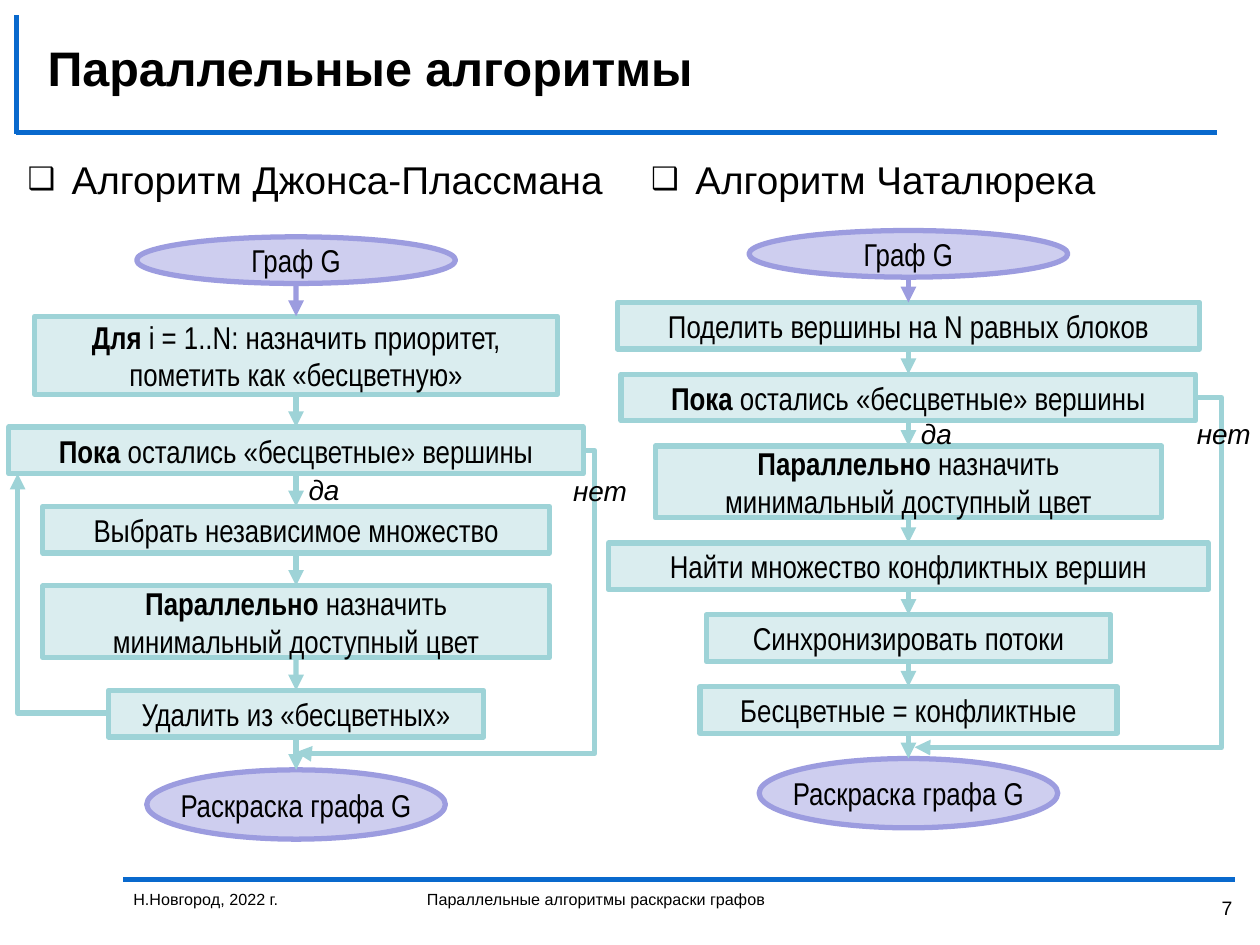
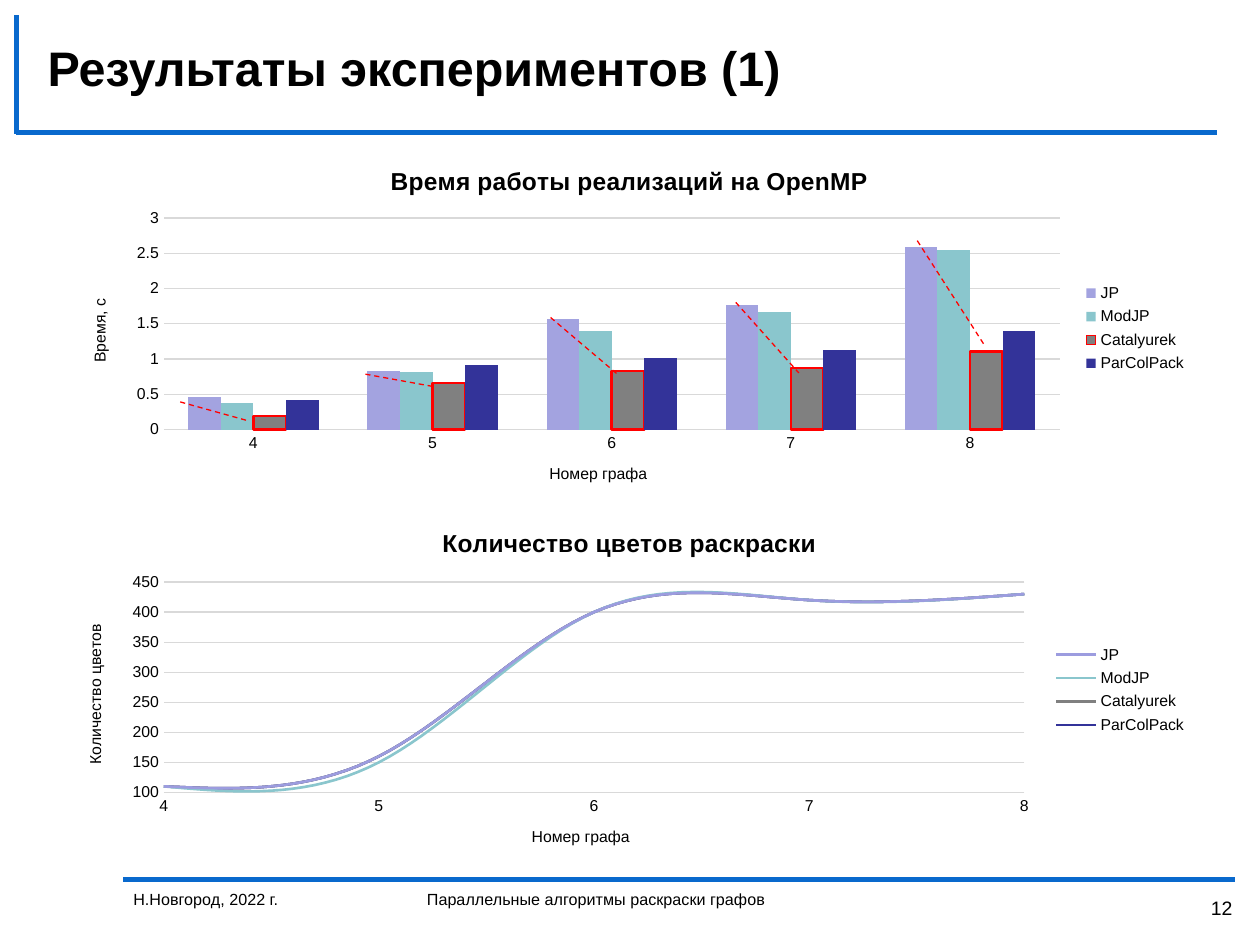
from typing import NamedTuple

from lxml import etree
from pptx import Presentation
from pptx.chart.data import CategoryChartData, XyChartData
from pptx.dml.color import RGBColor
from pptx.enum import chart as ch, dml, shapes, text
from pptx.oxml.ns import qn
from pptx.util import Inches, Pt

BLACK, BAND, GRID, RED = "000000", "0969CD", "D9D9D9", "FF0000"
MINT, LILAC = ("DAEDEF", "9ED3D7"), ("CECEEF", "9C9CDF")  # fill, line
LEFT, RIGHT, CENTER = text.PP_ALIGN.LEFT, text.PP_ALIGN.RIGHT, text.PP_ALIGN.CENTER
MIDDLE = text.MSO_ANCHOR.MIDDLE
CHART_W, CHART_H = 9.05, 2.87


class Step(NamedTuple):
    text: str  # parts between asterisks are bold
    width: float
    height: float = 0.37
    oval: bool = False


class Flow(NamedTuple):
    center: float
    top: float
    gap: float
    steps: list[Step]
    loop: int  # index of the "while" step
    exit_end: tuple[float, float]
    exit_bends: tuple[int, int]
    yes_top: float
    no_at: tuple[float, float]


class Plot(NamedTuple):
    title: str
    value_title: str
    top: float
    area: tuple[float, float, float, float]  # left, top, width, height in inches
    scale: tuple[float, float, float]  # minimum, maximum, major unit


START = Step("Граф G", 2.53, oval=True)
WHILE = Step("*Пока* остались «бесцветные» вершины", 4.56)
ASSIGN = Step("*Параллельно* назначить\nминимальный доступный цвет", 4.02, 0.57)
FINISH = Step("Раскраска графа G", 2.37, 0.55, True)

JONES = Flow(2.35, 1.88, 0.26, [
    START,
    Step("*Для* i = 1..N: назначить приоритет,\nпометить как «бесцветную»", 4.15, 0.62),
    WHILE,
    Step("Выбрать независимое множество", 4.02),
    ASSIGN,
    Step("Удалить из «бесцветных»", 2.98),
    FINISH,
], 2, (2.35, 5.97), (-3900, 100500), 3.7, (4.45, 3.71))

CATALYUREK = Flow(7.21, 1.83, 0.2, [
    START,
    Step("Поделить вершины на N равных блоков", 4.62),
    WHILE,
    ASSIGN,
    Step("Найти множество конфликтных вершин", 4.76),
    Step("Синхронизировать потоки", 3.21),
    Step("Бесцветные = конфликтные", 3.31),
    FINISH,
], 2, (7.26, 5.93), (-9200, 100100), 3.26, (9.4, 3.26))

GRAPHS = [4, 5, 6, 7, 8]
SERIES_COLORS = {"JP": "A3A3E0", "ModJP": "8AC6CD",
                 "Catalyurek": "808080", "ParColPack": "333399"}
TIMES = {
    "JP": [0.46, 0.83, 1.57, 1.76, 2.59],
    "ModJP": [0.37, 0.81, 1.39, 1.67, 2.55],
    "Catalyurek": [0.19, 0.66, 0.83, 0.87, 1.11],
    "ParColPack": [0.42, 0.91, 1.01, 1.12, 1.4],
}
COLOR_COUNTS = {
    "JP": [110, 160, 400, 420, 430],
    "ModJP": [110, 150, 400, 420, 430],
    "Catalyurek": [110, 160, 400, 420, 430],
    "ParColPack": [110, 160, 400, 420, 430],
}
SPEEDUP_LINES = [
    (1.43, 3.19, 1.97, 3.34), (2.9, 2.97, 3.45, 3.07), (4.37, 2.52, 4.9, 2.97),
    (5.84, 2.4, 6.34, 2.96), (7.28, 1.91, 7.82, 2.75),
]


def rgb(color: str) -> RGBColor:
    return RGBColor.from_string(color)


def style_font(font, size: float, name="Arial", color=BLACK, bold=False, italic=False):
    font.size, font.name, font.bold, font.italic = Pt(size), name, bold, italic
    font.color.rgb = rgb(color)


def write(tf, content: str, *, size: float, name="Arial", bold=False, italic=False,
          align=LEFT, anchor=text.MSO_ANCHOR.TOP, wrap=True, bullet=""):
    """Fill a frame: one paragraph a line, asterisks around bold parts."""
    tf.word_wrap, tf.vertical_anchor = wrap, anchor
    for i, line in enumerate(content.split("\n")):
        p = tf.add_paragraph() if i else tf.paragraphs[0]
        p.alignment = align
        for j, part in enumerate(line.split("*")):
            if part:
                r = p.add_run()
                r.text = part
                style_font(r.font, size, name, bold=bold or j % 2 == 1, italic=italic)
        if bullet:
            pPr = p._p.get_or_add_pPr()
            pPr.set("marL", str(Inches(0.35)))
            pPr.set("indent", str(-Inches(0.35)))
            etree.SubElement(pPr, qn("a:buSzPct")).set("val", "80000")
            etree.SubElement(pPr, qn("a:buFont")).set("typeface", name)
            etree.SubElement(pPr, qn("a:buChar")).set("char", bullet)


def add_text(s, content: str, x: float, y: float, w: float, h: float, **fmt):
    sp = s.shapes.add_textbox(Inches(x), Inches(y), Inches(w), Inches(h))
    write(sp.text_frame, content, **fmt)


def add_line(s, x1: float, y1: float, x2: float, y2: float, color: str, width=3.0,
             arrow=False, dashed=False, bent=False):
    kind = shapes.MSO_CONNECTOR.ELBOW if bent else shapes.MSO_CONNECTOR.STRAIGHT
    cxn = s.shapes.add_connector(kind, Inches(x1), Inches(y1), Inches(x2), Inches(y2))
    cxn.line.color.rgb, cxn.line.width = rgb(color), Pt(width)
    if dashed:
        cxn.line.dash_style = dml.MSO_LINE.DASH
    if arrow:
        etree.SubElement(cxn.line._get_or_add_ln(), qn("a:tailEnd")).set("type", "triangle")
    etree.SubElement(cxn._element.spPr, qn("a:effectLst"))
    return cxn


def bend(cxn, preset: str, adjustments: tuple[int, ...] = ()):
    """Choose the elbow preset and place its bends."""
    geom = cxn._element.spPr.find(qn("a:prstGeom"))
    geom.set("prst", preset)
    for old in list(geom):
        geom.remove(old)
    guides = etree.SubElement(geom, qn("a:avLst"))
    for i, value in enumerate(adjustments, 1):
        guide = etree.SubElement(guides, qn("a:gd"))
        guide.set("name", f"adj{i}")
        guide.set("fmla", f"val {value}")


def add_slide(prs, title: str, number: int):
    """Blank slide with the shared title, bands and footer."""
    s = prs.slides.add_slide(prs.slide_layouts[6])
    for ends in ((0.98, 6.98, 9.8, 6.98), (0.13, 1.05, 9.66, 1.05), (0.13, 0.12, 0.13, 1.06)):
        add_line(s, *ends, BAND)
    add_text(s, title, 0.28, 0.23, 9.17, 0.61, size=27.7, bold=True, anchor=MIDDLE)
    add_text(s, "Н.Новгород, 2022 г.", 0.96, 7.01, 2.24, 0.49, size=9.2)
    add_text(s, "Параллельные алгоритмы раскраски графов", 3.29, 7.01, 6.3, 0.49, size=9.2)
    add_text(s, str(number), 9.37, 7.06, 0.51, 0.29, size=11.1, align=RIGHT)
    return s


def add_step(s, step: Step, center: float, top: float):
    kind = shapes.MSO_SHAPE.OVAL if step.oval else shapes.MSO_SHAPE.RECTANGLE
    sp = s.shapes.add_shape(kind, Inches(center - step.width / 2), Inches(top),
                            Inches(step.width), Inches(step.height))
    fill, line = LILAC if step.oval else MINT
    sp.shadow.inherit = False
    sp.fill.solid()
    sp.fill.fore_color.rgb = rgb(fill)
    sp.line.color.rgb, sp.line.width = rgb(line), Pt(3)
    write(sp.text_frame, step.text, size=18, name="Arial Narrow", align=CENTER,
          anchor=MIDDLE, wrap=False)
    return sp


def add_flow(s, flow: Flow):
    # Steps, one under another
    boxes, tops, top = [], [], flow.top
    for step in flow.steps:
        boxes.append(add_step(s, step, flow.center, top))
        tops.append(top)
        top += step.height + flow.gap

    # Arrows between neighbours
    for i, (upper, lower) in enumerate(zip(flow.steps, flow.steps[1:])):
        cxn = add_line(s, flow.center, tops[i] + upper.height, flow.center, tops[i + 1],
                       (LILAC if upper.oval else MINT)[1], arrow=True)
        if not upper.oval:
            cxn.begin_connect(boxes[i], 2)
        if not lower.oval:
            cxn.end_connect(boxes[i + 1], 0)

    # Way out of the loop
    loop = flow.steps[flow.loop]
    way_out = add_line(s, flow.center + loop.width / 2, tops[flow.loop] + loop.height / 2,
                       *flow.exit_end, MINT[1], arrow=True, bent=True)
    bend(way_out, "bentConnector4", flow.exit_bends)
    add_text(s, "да", flow.center, flow.yes_top, 0.45, 0.37, size=16, italic=True, wrap=False)
    add_text(s, "нет", *flow.no_at, 0.72, 0.37, size=16, italic=True)


def set_title(owner, content: str, size: float, bold=False):
    tf = owner.text_frame
    tf.text = content
    style_font(tf.paragraphs[0].runs[0].font, size, bold=bold)


def add_plot(s, kind, data, plot: Plot):
    chart = s.shapes.add_chart(kind, Inches(0.47), Inches(plot.top), Inches(CHART_W),
                               Inches(CHART_H), data).chart
    style_font(chart.font, 9)
    chart.has_title = True
    set_title(chart.chart_title, plot.title, 14, bold=True)
    chart.has_legend = True
    chart.legend.position = ch.XL_LEGEND_POSITION.RIGHT
    chart.legend.include_in_layout = False
    style_font(chart.legend.font, 9)
    chart.plots[0].vary_by_categories = False

    # Axes
    x_axis, y_axis = chart.category_axis, chart.value_axis
    for axis, title in ((x_axis, "Номер графа"), (y_axis, plot.value_title)):
        axis.has_title = True
        set_title(axis.axis_title, title, 9)
        axis.major_tick_mark = axis.minor_tick_mark = ch.XL_TICK_MARK.NONE
        style_font(axis.tick_labels.font, 9)
    x_axis.has_major_gridlines, y_axis.has_major_gridlines = False, True
    for line in (x_axis.format.line, y_axis.major_gridlines.format.line):
        line.color.rgb, line.width = rgb(GRID), Pt(0.75)
    y_axis.format.line.fill.background()
    y_axis.minimum_scale, y_axis.maximum_scale, y_axis.major_unit = plot.scale

    # Fixed plot area, as fractions of the chart
    area = chart._chartSpace.chart.plotArea
    layout = area.find(qn("c:layout"))
    if layout is None:
        layout = etree.Element(qn("c:layout"))
        area.insert(0, layout)
    manual = etree.SubElement(layout, qn("c:manualLayout"))
    settings = [("layoutTarget", "inner"), ("xMode", "edge"), ("yMode", "edge")]
    for tag, length, whole in zip("xywh", plot.area, (CHART_W, CHART_H) * 2):
        settings.append((tag, length / whole))
    for tag, value in settings:
        etree.SubElement(manual, qn(f"c:{tag}")).set("val", str(value))
    return chart


def build_algorithms(prs):
    s = add_slide(prs, "Параллельные алгоритмы", 7)
    for x, heading in ((0.12, "Алгоритм Джонса-Плассмана"), (5.07, "Алгоритм Чаталюрека")):
        add_text(s, heading, x, 1.19, 4.85, 0.57, size=22.1, bullet="❑")
    for flow in (JONES, CATALYUREK):
        add_flow(s, flow)
    back = add_line(s, 0.86, 5.66, 0.14, 3.76, MINT[1], arrow=True, bent=True)
    bend(back, "bentConnector2")


def build_results(prs):
    s = add_slide(prs, "Результаты экспериментов (1)", 12)

    # Running time
    data = CategoryChartData()
    data.categories = [str(g) for g in GRAPHS]
    for name, values in TIMES.items():
        data.add_series(name, values)
    chart = add_plot(s, ch.XL_CHART_TYPE.COLUMN_CLUSTERED, data, Plot(
        "Время работы реализаций на OpenMP", "Время, с", 1.17,
        (0.83, 0.56, 7.11, 1.68), (0, 3, 0.5)))
    chart.plots[0].gap_width, chart.plots[0].overlap = 150, 0
    for ser in chart.plots[0].series:
        ser.format.fill.solid()
        ser.format.fill.fore_color.rgb = rgb(SERIES_COLORS[ser.name])
        if ser.name == "Catalyurek":
            ser.format.line.color.rgb, ser.format.line.width = rgb(RED), Pt(1.5)

    # Number of colours
    data = XyChartData()
    for name, values in COLOR_COUNTS.items():
        points = data.add_series(name)
        for graph, value in zip(GRAPHS, values):
            points.add_data_point(graph, value)
    chart = add_plot(s, ch.XL_CHART_TYPE.XY_SCATTER_SMOOTH_NO_MARKERS, data, Plot(
        "Количество цветов раскраски", "Количество цветов", 4.04,
        (0.83, 0.58, 6.83, 1.67), (100, 450, 50)))
    x_axis = chart.category_axis
    x_axis.minimum_scale, x_axis.maximum_scale, x_axis.major_unit = 4, 8, 1
    for ser in chart.plots[0].series:
        color = LILAC[1] if ser.name == "JP" else SERIES_COLORS[ser.name]
        ser.format.line.color.rgb, ser.format.line.width = rgb(color), Pt(1.5)
        ser._element.find(qn("c:smooth")).set("val", "1")

    # Speed-up from JP to Catalyurek
    for ends in SPEEDUP_LINES:
        add_line(s, *ends, RED, 0.75, dashed=True)


def main():
    prs = Presentation()
    prs.slide_width, prs.slide_height = Inches(10), Inches(7.5)
    build_algorithms(prs)
    build_results(prs)
    prs.save("out.pptx")


if __name__ == "__main__":
    main()
